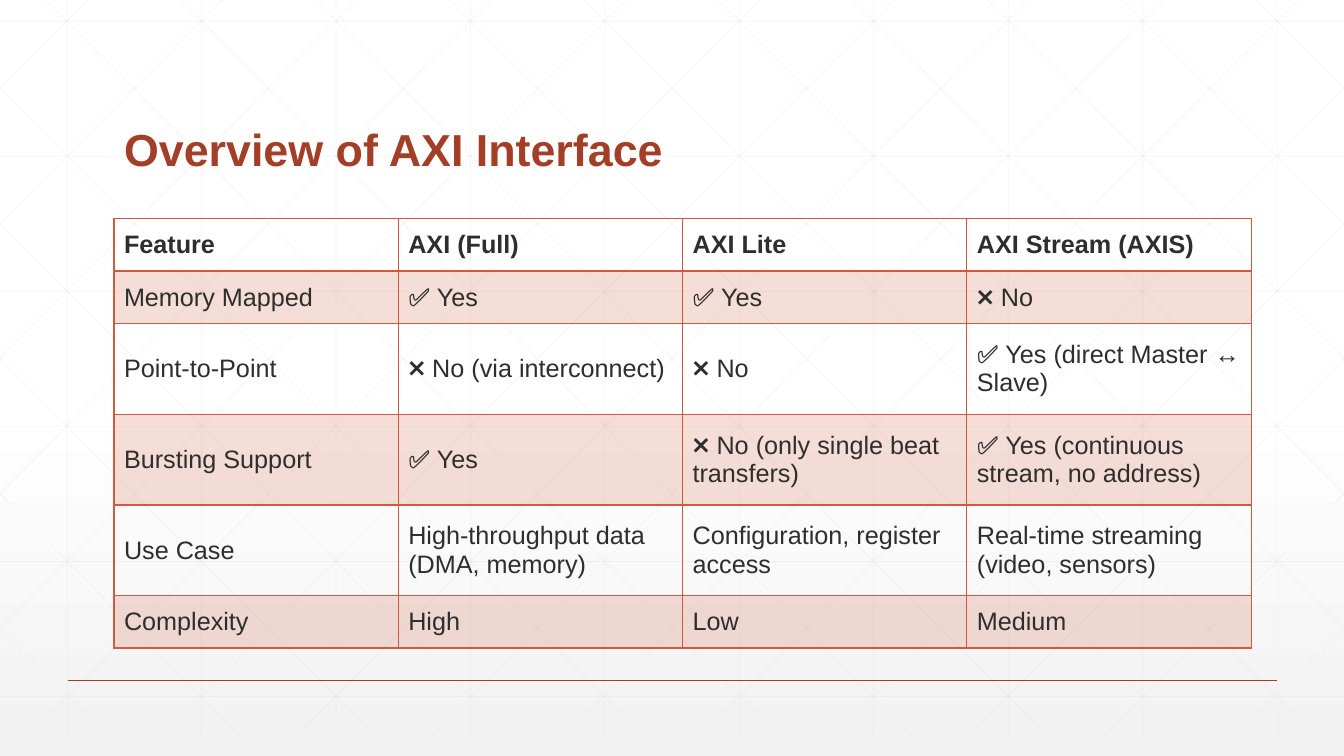
from dataclasses import dataclass
from typing import Iterator, Optional

from lxml import etree
from pptx import Presentation
from pptx.dml.color import RGBColor
from pptx.enum.dml import MSO_THEME_COLOR
from pptx.enum.shapes import MSO_CONNECTOR
from pptx.enum.text import MSO_ANCHOR, MSO_AUTO_SIZE, PP_ALIGN
from pptx.oxml import parse_xml
from pptx.oxml.ns import nsdecls, qn
from pptx.util import Inches, Pt

STRAIGHT = MSO_CONNECTOR.STRAIGHT
LEFT = PP_ALIGN.LEFT
MIDDLE, BOTTOM = MSO_ANCHOR.MIDDLE, MSO_ANCHOR.BOTTOM
NO_AUTOFIT = MSO_AUTO_SIZE.NONE
BACKGROUND_THEME = MSO_THEME_COLOR.BACKGROUND_1

FONT = "Arial"
COLORS = {
    "page": "FFFFFF",
    "page_end": "F2F2F2",
    "grid": "D9D9D9",
    "title": "A43F27",
    "accent": "D15A3E",
    "text": "2D2E2D",
}
SLIDE_W, SLIDE_H = 13.33, 7.5
GRID_TOP, GRID_BOTTOM = -0.21, 7.29
GRID_STEP = 4 / 3
ROW_STEP = 1.34
DIAGONAL_RUN = 7.46
DIAGONAL_START = 0.25

FEATURES = [
    ["Feature", "AXI (Full)", "AXI Lite", "AXI Stream (AXIS)"],
    ["Memory Mapped", "✅ Yes", "✅ Yes", "❌ No"],
    ["Point-to-Point", "❌ No (via interconnect)", "❌ No",
     "✅ Yes (direct Master ↔ Slave)"],
    ["Bursting Support", "✅ Yes", "❌ No (only single beat transfers)",
     "✅ Yes (continuous stream, no address)"],
    ["Use Case", "High-throughput data (DMA, memory)",
     "Configuration, register access", "Real-time streaming (video, sensors)"],
    ["Complexity", "High", "Low", "Medium"],
]
ROW_HEIGHTS = [0.52, 0.52, 0.9, 0.9, 0.9, 0.52]
COLUMN_WIDTH = 2.82


@dataclass
class Rule:
    x1: float
    y1: float
    x2: float
    y2: float
    color: str = "grid"
    width: float = 0.5
    opacity: Optional[int] = 25


def add_alpha(color_element, percent: int) -> None:
    etree.SubElement(color_element, qn("a:alpha"), val=str(percent * 1000))


def draw_rule(slide, rule: Rule) -> None:
    connector = slide.shapes.add_connector(
        STRAIGHT, Inches(rule.x1), Inches(rule.y1), Inches(rule.x2), Inches(rule.y2))
    connector.line.color.rgb = RGBColor.from_string(COLORS[rule.color])
    connector.line.width = Pt(rule.width)
    properties = connector.element.spPr
    if rule.opacity is not None:
        add_alpha(properties.find(".//" + qn("a:srgbClr")), rule.opacity)
    etree.SubElement(properties, qn("a:effectLst"))


def grid_rules() -> Iterator[Rule]:
    """Uprights, levels and mirrored diagonals, clipped to the slide's sides."""
    for i in range(10):
        x = GRID_STEP * (i + 0.5)
        yield Rule(x, GRID_TOP, x, GRID_BOTTOM)
    for i in range(6):
        y = 0.21 + ROW_STEP * i
        yield Rule(0, y, SLIDE_W, y)
    slope = (GRID_BOTTOM - GRID_TOP) / DIAGONAL_RUN
    for i in range(-5, 10):
        start = DIAGONAL_START + GRID_STEP * i
        x1, x2 = max(start, 0), min(start + DIAGONAL_RUN, SLIDE_W)
        y1, y2 = (GRID_TOP + (x - start) * slope for x in (x1, x2))
        yield Rule(x1, y1, x2, y2)
        yield Rule(SLIDE_W - x1, y1, SLIDE_W - x2, y2)


def set_background(slide) -> None:
    fill = slide.background.fill
    fill.solid()
    fill.fore_color.theme_color = BACKGROUND_THEME
    solid = slide.element.find(".//" + qn("p:bgPr")).find(qn("a:solidFill"))
    gradient = parse_xml(
        f'<a:gradFill {nsdecls("a")} rotWithShape="1"><a:gsLst>'
        f'<a:gs pos="0"><a:srgbClr val="{COLORS["page"]}"/></a:gs>'
        f'<a:gs pos="53000"><a:srgbClr val="{COLORS["page"]}"/></a:gs>'
        f'<a:gs pos="100000"><a:srgbClr val="{COLORS["page_end"]}">'
        '<a:alpha val="65000"/></a:srgbClr></a:gs>'
        '</a:gsLst><a:lin ang="5400000" scaled="0"/></a:gradFill>')
    solid.getparent().replace(solid, gradient)


def add_text(frame, text: str, size: float, color: str, bold: bool):
    paragraph = frame.paragraphs[0]
    paragraph.alignment = LEFT
    run = paragraph.add_run()
    run.text = text
    run.font.name = FONT
    run.font.size = Pt(size)
    run.font.bold = bold
    run.font.color.rgb = RGBColor.from_string(COLORS[color])
    return paragraph


def set_title(slide, text: str) -> None:
    title = slide.shapes.title
    title.left, title.top = Inches(1.13), Inches(0.55)
    title.width, title.height = Inches(11.29), Inches(1.25)
    frame = title.text_frame
    frame.word_wrap = True
    frame.auto_size = NO_AUTOFIT
    frame.vertical_anchor = BOTTOM
    add_text(frame, text, 32, "title", True).line_spacing = 0.9
    # Bring the title in front of the grid
    title.element.getparent().append(title.element)


def set_borders(cell_properties, widths: dict[str, float]) -> None:
    for position, (side, width) in enumerate(widths.items()):
        border = parse_xml(
            f'<a:{side} {nsdecls("a")} w="{Pt(width)}"><a:solidFill>'
            f'<a:srgbClr val="{COLORS["accent"]}"/></a:solidFill></a:{side}>')
        cell_properties.insert(position, border)


def add_feature_table(slide) -> None:
    row_count, column_count = len(FEATURES), len(FEATURES[0])
    table = slide.shapes.add_table(
        row_count, column_count, Inches(1.13), Inches(2.17),
        Inches(COLUMN_WIDTH * column_count), Inches(sum(ROW_HEIGHTS))).table
    table.horz_banding = False
    for column in table.columns:
        column.width = Inches(COLUMN_WIDTH)
    for r, (labels, height) in enumerate(zip(FEATURES, ROW_HEIGHTS)):
        table.rows[r].height = Inches(height)
        for c, label in enumerate(labels):
            cell = table.cell(r, c)
            cell.vertical_anchor = MIDDLE
            add_text(cell.text_frame, label, 18, "text", r == 0)
            properties = cell._tc.get_or_add_tcPr()
            if r % 2:
                cell.fill.solid()
                cell.fill.fore_color.rgb = RGBColor.from_string(COLORS["accent"])
                add_alpha(properties.find(".//" + qn("a:srgbClr")), 20)
            else:
                cell.fill.background()
            set_borders(properties, {"lnL": 1, "lnR": 1,
                                     "lnT": 2 if r == 1 else 1,
                                     "lnB": 2 if r == 0 else 1})


def main() -> None:
    deck = Presentation()
    deck.slide_width, deck.slide_height = Inches(SLIDE_W), Inches(SLIDE_H)
    slide = deck.slides.add_slide(deck.slide_layouts.get_by_name("Title Only"))

    # Backdrop and footer rule
    set_background(slide)
    for rule in grid_rules():
        draw_rule(slide, rule)
    draw_rule(slide, Rule(0.67, 6.75, 12.67, 6.75, "title", 1, None))

    # Content
    set_title(slide, "Overview of AXI Interface")
    add_feature_table(slide)
    deck.save("out.pptx")


if __name__ == "__main__":
    main()
